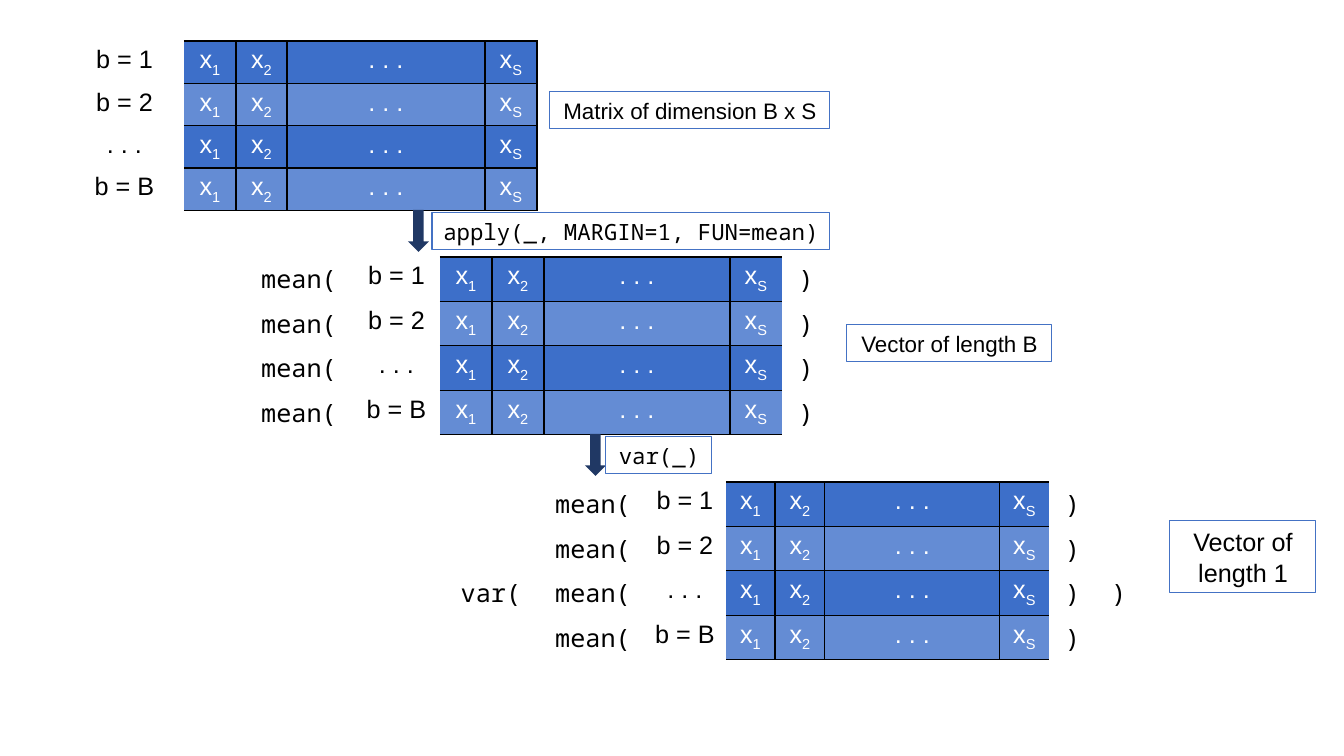
import lxml.etree
import pptx
import pptx.dml.color
import pptx.enum.shapes
import pptx.enum.text
import pptx.oxml.ns
import pptx.util

HUES = {"white": "FFFFFF", "black": "000000", "dark": "3D6FC9", "light": "648CD4",
        "edge": "4472C4", "arrow": "203864"}
SANS, MONO = "Arial", "Noto Sans Mono"
KINDS = pptx.enum.shapes.MSO_SHAPE
CENTER = pptx.enum.text.PP_ALIGN.CENTER
MIDDLE = pptx.enum.text.MSO_ANCHOR.MIDDLE


def px(size):
    return round(size * 914400 / 100.8)


def rgb(name):
    return pptx.dml.color.RGBColor.from_string(HUES[name])


def apply(item, style):
    for key, value in style.items():
        setattr(item, key, value)


class Deck:
    def __init__(self):
        self.show = pptx.Presentation()
        apply(self.show, {"slide_width": px(1344), "slide_height": px(756)})
        self.slide = self.show.slides.add_slide(self.show.slide_layouts[6])

    def label(self, frame, parts, font, size, hue):
        para = frame.paragraphs[0]
        para.alignment = CENTER
        for index, part in enumerate(parts):
            run = para.add_run()
            run.text = part
            apply(run.font, {"name": font, "size": pptx.util.Pt(size), "bold": False})
            run.font.color.rgb = rgb(hue)
            if index:
                run.font._element.set("baseline", "-25000")

    def shape(self, kind, box):
        shape = self.slide.shapes.add_shape(kind, *map(px, box))
        shape.shadow.inherit = False
        return shape

    def arrow(self, left, top):
        shape = self.shape(KINDS.DOWN_ARROW, (left, top, 21, 42))
        shape.fill.solid()
        shape.fill.fore_color.rgb = rgb("arrow")
        shape.line.fill.background()

    def note(self, text, box, font=SANS, size=16):
        shape = self.shape(KINDS.RECTANGLE, box)
        shape.fill.background()
        shape.line.color.rgb = rgb("edge")
        shape.line.width = pptx.util.Pt(0.75)
        apply(shape.text_frame, {"word_wrap": True, "vertical_anchor": MIDDLE})
        self.label(shape.text_frame, [text], font, size, "black")

    def border(self, cell, sides):
        props = cell._tc.get_or_add_tcPr()
        for side in "LRTB":
            line = lxml.etree.SubElement(props, pptx.oxml.ns.qn("a:ln" + side), w="12700")
            if side in sides:
                fill = lxml.etree.SubElement(line, pptx.oxml.ns.qn("a:solidFill"))
                lxml.etree.SubElement(fill, pptx.oxml.ns.qn("a:srgbClr"), val=HUES["black"])
            else:
                lxml.etree.SubElement(line, pptx.oxml.ns.qn("a:noFill"))

    def grid(self, left, top, height, cols, rows, closed=False):
        box = map(px, (left, top, sum(cols), height))
        table = self.slide.shapes.add_table(len(rows), len(cols), *box).table
        apply(table, {"first_row": False, "horz_banding": False})
        for col, width in zip(table.columns, cols):
            col.width = px(width)
        for index, texts in enumerate(rows):
            table.rows[index].height = px(height / len(rows))
            first = texts.index("x_1")
            last = texts.index("x_S")
            for spot, text in enumerate(texts):
                cell = table.cell(index, spot)
                data = first <= spot <= last
                sides = "TB" if data else ""
                if first < spot <= last:
                    sides += "L"
                if first <= spot < last or data and closed:
                    sides += "R"
                self.border(cell, sides)
                cell.fill.solid()
                fill = ("dark", "light")[index % 2] if data else "white"
                cell.fill.fore_color.rgb = rgb(fill)
                if text:
                    font = MONO if "(" in text or ")" in text else SANS
                    hue = "white" if data else "black"
                    self.label(cell.text_frame, text.split("_"), font, 18, hue)


deck = Deck()
draws = [[name, "x_1", "x_2", ". . .", "x_S"] for name in ("b = 1", "b = 2", ". . .", "b = B")]
means = [["mean(", *row, ")"] for row in draws]
whole = [["var(" if i == 2 else "", *row, ")" if i == 2 else ""] for i, row in enumerate(means)]

deck.grid(65, 41, 164, [119, 52, 51, 198, 52], draws, closed=True)
deck.grid(245, 257, 173, [108, 87, 52, 52, 186, 52, 48], means)
deck.grid(440, 482, 173, [102, 102, 82, 49, 50, 175, 49, 47, 46], whole)

deck.arrow(408, 210)
deck.arrow(585, 434)

deck.note("Matrix of dimension B x S", (550, 92, 280, 37))
deck.note("Vector of length B", (847, 325, 205, 37))
deck.note("Vector of length 1", (1170, 521, 146, 72), size=18)
deck.note("apply(_, MARGIN=1, FUN=mean)", (432, 213, 398, 37), MONO)
deck.note("var(_)", (606, 437, 106, 37), MONO)

deck.show.save("out.pptx")
